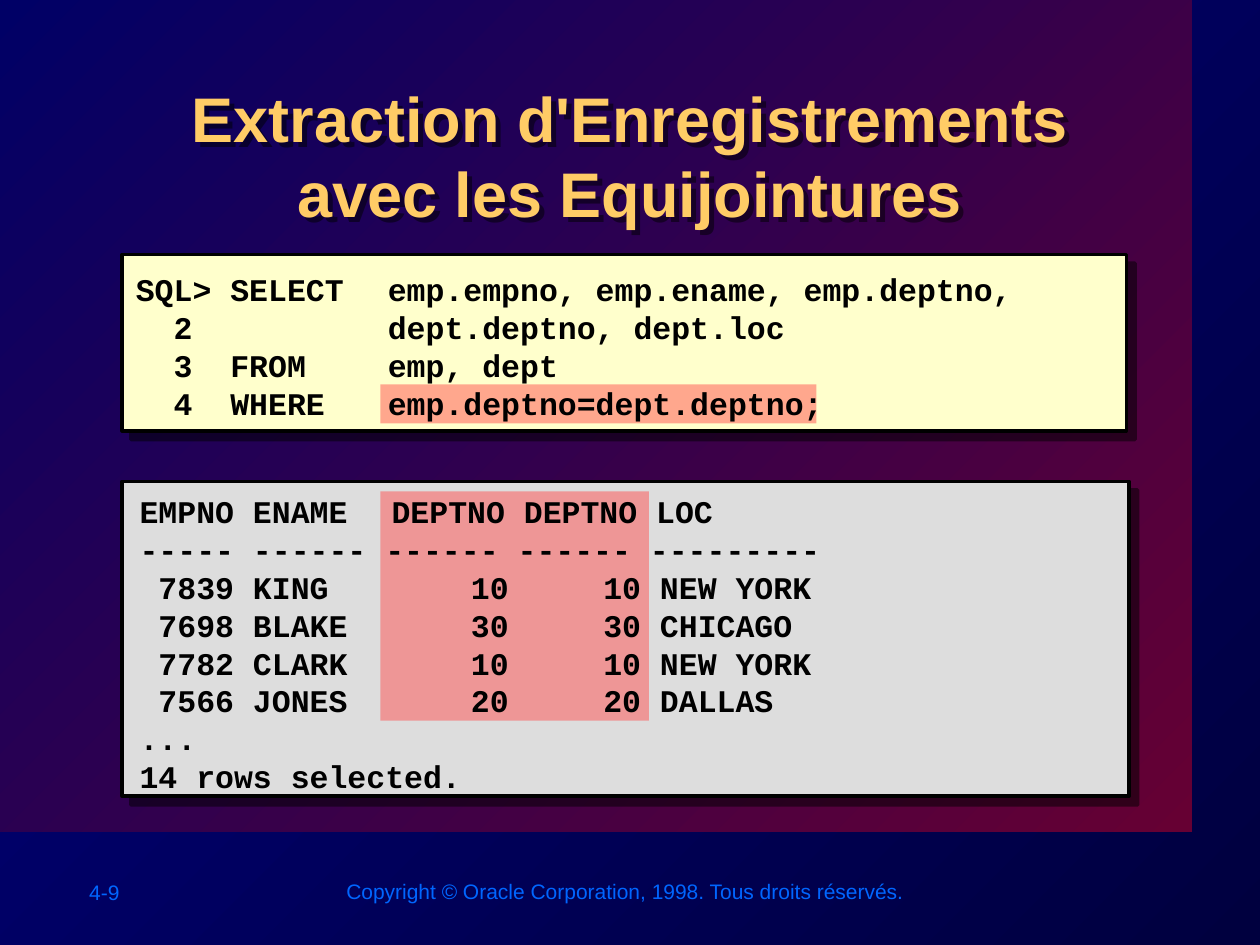
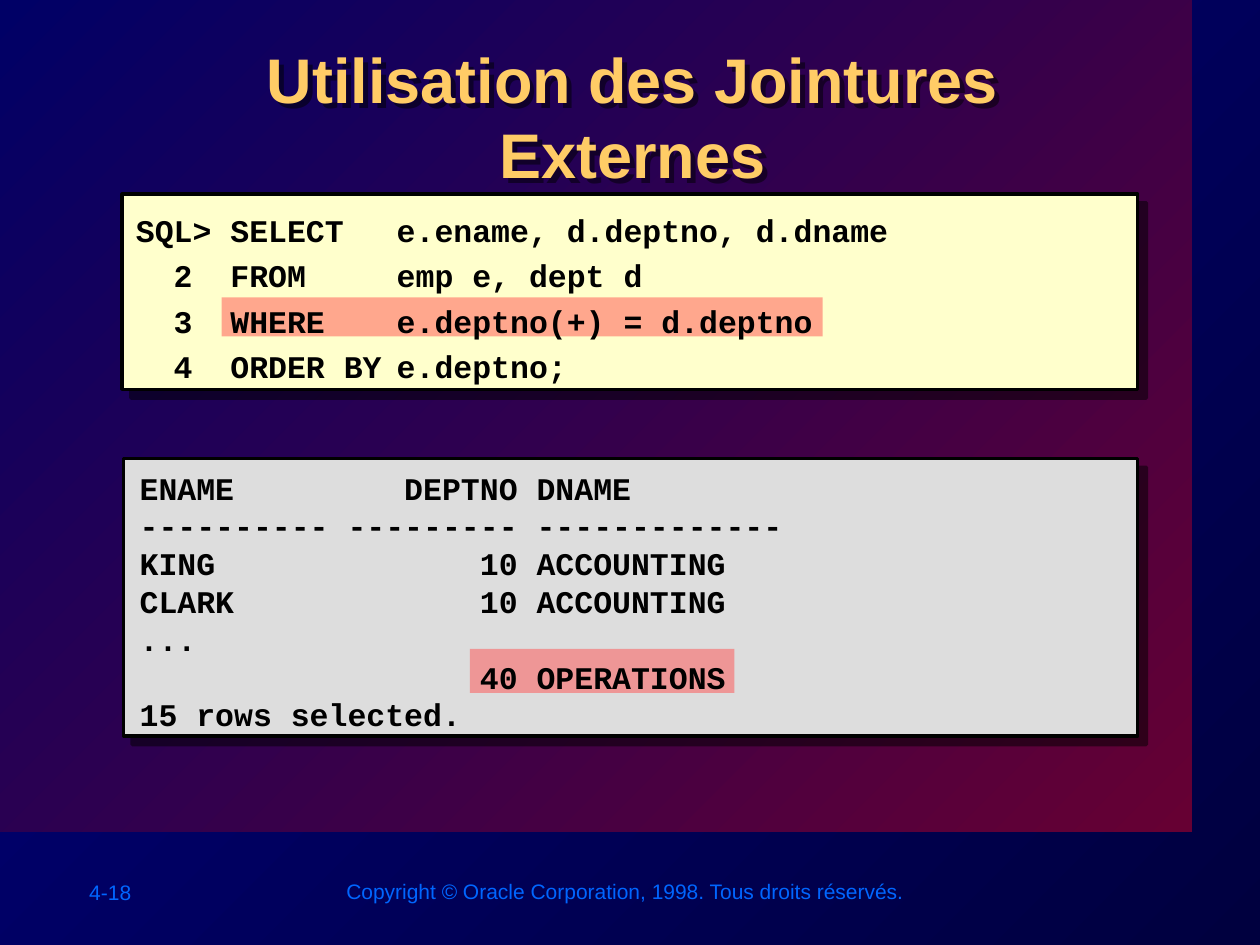
"""Build two slides on SQL joins, each with a query panel and its result panel."""
from lxml import etree
from pptx import Presentation
from pptx.dml.color import RGBColor
from pptx.enum.shapes import MSO_SHAPE
from pptx.enum.text import MSO_ANCHOR, PP_ALIGN
from pptx.oxml import parse_xml
from pptx.oxml.ns import nsdecls, qn
from pptx.util import Inches, Pt

RECTANGLE = MSO_SHAPE.RECTANGLE
TOP, MIDDLE = MSO_ANCHOR.TOP, MSO_ANCHOR.MIDDLE
LEFT, CENTER = PP_ALIGN.LEFT, PP_ALIGN.CENTER

THEME = {
    "page": ("00003F", "000080"),
    "band": ("660033", "000066"),
    "query": "FFFFCC",
    "result": "DDDDDD",
    "highlight": "FF5050",
    "border": "000000",
    "title": {"name": "Arial", "size": 36, "bold": True, "color": "FFCC66"},
    "code": {"name": "Courier New", "size": 18, "bold": True, "color": "000000"},
    "footer": {"name": "Arial", "size": 12, "bold": False, "color": "0066FF"},
    "leading": 1.2,
    "text_drop": 0.02,
}
COPYRIGHT = "Copyright © Oracle Corporation, 1998. Tous droits réservés."

SLIDES = [
    {
        "number": "4-9",
        "title": ("Extraction d'Enregistrements avec les Equijointures", (1.01, 0.56, 7.98, 0.96)),
        "panels": [("query", (0.97, 2.02, 7.97, 1.4)), ("result", (0.97, 3.82, 7.99, 2.5))],
        "highlights": [(3.02, 3.05, 3.46, 0.31), (3.02, 3.9, 2.13, 1.82)],
        "query": {
            "place": (0.98, 2.01, 8, 1.43),
            "tabs": (1.31, 2),
            "spacing": 1,
            "lines": [
                "SQL> SELECT \temp.empno, emp.ename, emp.deptno,",
                "  2\t\tdept.deptno, dept.loc",
                "  3  FROM   \temp, dept",
                "  4  WHERE  \temp.deptno=dept.deptno;",
            ],
        },
        "result": {
            "place": (1.01, 3.84, 7.96, 2.5),
            "tabs": (2, 2.63, 3.38, 4.63),
            "lines": [
                "EMPNO ENAME \tDEPTNO DEPTNO LOC",
                "----- ------ ------ ------ ---------",
                " 7839 KING\t    \t10     10 NEW YORK",
                " 7698 BLAKE  \t    \t30     30 CHICAGO",
                " 7782 CLARK\t    \t10     10 NEW YORK",
                " 7566 JONES      \t20     20 DALLAS",
                "...",
                "14 rows selected.",
            ],
        },
    },
    {
        "number": "4-18",
        "title": ("Utilisation des Jointures Externes", (1.03, 0.25, 7.98, 0.96)),
        "panels": [("query", (0.97, 1.54, 8.06, 1.55)), ("result", (0.98, 3.64, 8.05, 2.2))],
        "highlights": [(1.76, 2.36, 4.77, 0.31), (3.73, 5.15, 2.1, 0.35)],
        "query": {
            "place": (0.98, 1.53, 8.08, 1.57),
            "tabs": (0.94, 2.07),
            "spacing": 1.2,
            "lines": [
                "SQL> SELECT\te.ename, d.deptno, d.dname",
                "  2  FROM\temp e, dept d",
                "  3  WHERE\te.deptno(+) = d.deptno",
                "  4  ORDER BY\te.deptno;",
            ],
        },
        "result": {
            "place": (1.01, 3.65, 8.02, 2.2),
            "tabs": (),
            "lines": [
                "ENAME         DEPTNO DNAME",
                "---------- --------- -------------",
                "KING              10 ACCOUNTING",
                "CLARK             10 ACCOUNTING",
                "...",
                "                  40 OPERATIONS",
                "15 rows selected.",
            ],
        },
    },
]


def add_text(page, place, lines, style, tabs=(), spacing=1, anchor=TOP, align=LEFT):
    look = THEME[style]
    left, top, width, height = place
    box = page.shapes.add_textbox(*map(Inches, (left, top + THEME["text_drop"], width, height)))
    frame = box.text_frame
    frame.word_wrap = True
    frame.vertical_anchor = anchor
    for index, line in enumerate(lines):
        para = frame.add_paragraph() if index else frame.paragraphs[0]
        if tabs:
            stops = etree.SubElement(para._p.get_or_add_pPr(), qn("a:tabLst"))
            for tab in tabs:
                etree.SubElement(stops, qn("a:tab"), pos=str(Inches(tab)), algn="l")
        para.alignment = align
        para.line_spacing = Pt(look["size"] * THEME["leading"] * spacing)
        span = para.add_run()
        span.text = line
        values = {"name": look["name"], "size": Pt(look["size"]), "bold": look["bold"]}
        for name, value in values.items():
            setattr(span.font, name, value)
        span.font.color.rgb = RGBColor.from_string(look["color"])
    return box


def add_shadow(shape, distance):
    shape._element.spPr.append(parse_xml(
        f'<a:effectLst {nsdecls("a")}><a:outerShdw dist="{Pt(distance)}" dir="2700000" '
        'algn="ctr" rotWithShape="0"><a:srgbClr val="000000"><a:alpha val="50000"/>'
        '</a:srgbClr></a:outerShdw></a:effectLst>'))


deck = Presentation()
deck.slide_width, deck.slide_height = Inches(10), Inches(7.5)

for content in SLIDES:
    page = deck.slides.add_slide(deck.slide_layouts[6])
    band = page.shapes.add_shape(RECTANGLE, 0, 0, Inches(9.46), Inches(6.6))
    band.shadow.inherit = False
    band.line.fill.background()
    for fill, colors in ((page.background.fill, THEME["page"]), (band.fill, THEME["band"])):
        fill.gradient()
        fill.gradient_angle = 135
        for stop, color in zip(fill.gradient_stops, colors):
            stop.color.rgb = RGBColor.from_string(color)

    add_text(page, (0.61, 6.91, 1.11, 0.3), [content["number"]], "footer")
    add_text(page, (2.65, 6.9, 4.9, 0.3), [COPYRIGHT], "footer")

    for kind, place in content["panels"]:
        panel = page.shapes.add_shape(RECTANGLE, *map(Inches, place))
        panel.fill.solid()
        panel.fill.fore_color.rgb = RGBColor.from_string(THEME[kind])
        panel.line.color.rgb = RGBColor.from_string(THEME["border"])
        panel.line.width = Pt(2)
        add_shadow(panel, 7.1)

    title, place = content["title"]
    add_shadow(add_text(page, place, [title], "title", align=CENTER), 4)

    for place in content["highlights"]:
        highlight = page.shapes.add_shape(RECTANGLE, *map(Inches, place))
        highlight.shadow.inherit = False
        highlight.line.fill.background()
        highlight.fill.solid()
        highlight.fill.fore_color.rgb = RGBColor.from_string(THEME["highlight"])
        color = highlight._element.spPr.find(qn("a:solidFill"))[0]
        etree.SubElement(color, qn("a:alpha"), val="50000")

    query, result = content["query"], content["result"]
    add_text(page, query["place"], query["lines"], "code", query["tabs"], query["spacing"], MIDDLE)
    add_text(page, result["place"], result["lines"], "code", result["tabs"])

deck.save("out.pptx")
